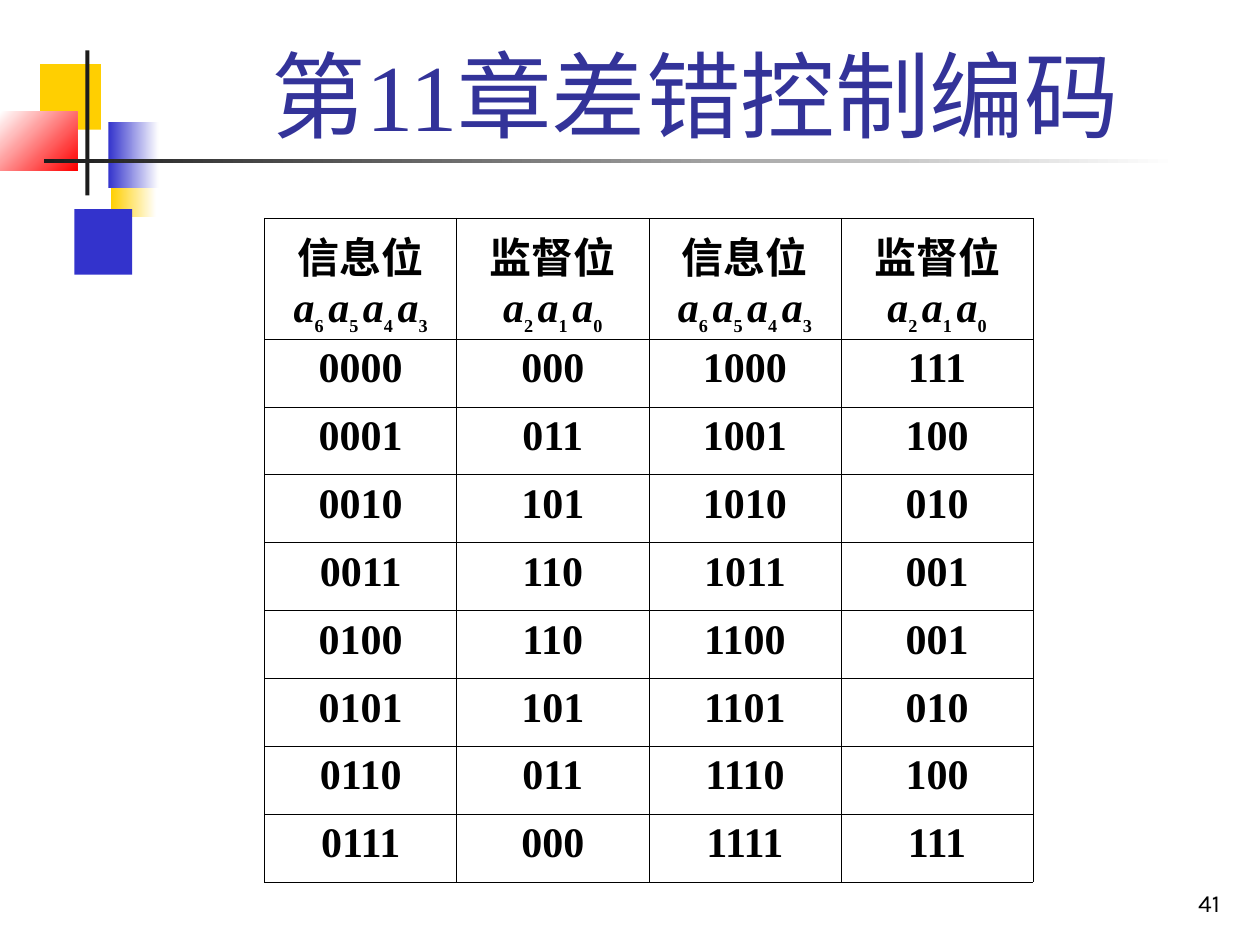
from lxml.etree import SubElement
from pptx import Presentation
from pptx.dml.color import RGBColor
from pptx.enum.shapes import MSO_SHAPE
from pptx.enum.text import MSO_ANCHOR, MSO_AUTO_SIZE, PP_ALIGN
from pptx.oxml.ns import qn
from pptx.util import Pt

# Content
TITLE = "第11章差错控制编码"
PAGE_NUMBER = "41"
HEADERS = [("信息位", "6543"), ("监督位", "210")] * 2  # label, subscripts of a
CODES = [
    ("0000", "000", "1000", "111"),
    ("0001", "011", "1001", "100"),
    ("0010", "101", "1010", "010"),
    ("0011", "110", "1011", "001"),
    ("0100", "110", "1100", "001"),
    ("0101", "101", "1101", "010"),
    ("0110", "011", "1110", "100"),
    ("0111", "000", "1111", "111"),
]
COLORS = {
    "title": "333399", "text": "000000", "white": "FFFFFF", "yellow": "FFCF01",
    "blue": "3333CC", "red": "FF0000", "dark": "1C1C1C",
}
# Left, top, width, height, colours from start to end, clockwise angle
DECORATIONS = [
    (63.4, 86.4, 25.9, 37.4, ("yellow", "white"), 0),
    (42.5, 119.5, 33.1, 37.4, ("blue",), 0),
    (23, 36.7, 34.6, 37.4, ("yellow",), 0),
    (61.9, 70, 28.8, 37.4, ("blue", "white"), 0),
    (0, 64, 44.3, 33.5, ("white", "red"), 45),
    (48.8, 28.8, 2.3, 82.8, ("dark",), 0),
    (25.2, 90.8, 648, 2.3, ("dark", "white"), 0),
]
TABLE_LEFT, TABLE_TOP = 151.2, 124.7
COLUMN_WIDTH, HEADER_HEIGHT, ROW_HEIGHT = 109.8, 69.1, 38.8
BORDER_WIDTH = 0.45


def rgb(name):
    return RGBColor.from_string(COLORS[name])


def add_text(paragraph, text, size=24, font="Times New Roman", color="text",
             bold=None, italic=None, baseline=None, align=PP_ALIGN.CENTER):
    paragraph.alignment = align
    run = paragraph.add_run()
    run.text = text
    run.font.size = Pt(size)
    run.font.name = font
    run.font.color.rgb = rgb(color)
    run.font.bold, run.font.italic = bold, italic
    if baseline is not None:
        run.font._element.set("baseline", str(baseline * 1000))


def add_decoration(slide, left, top, width, height, colors, angle):
    shape = slide.shapes.add_shape(
        MSO_SHAPE.RECTANGLE, Pt(left), Pt(top), Pt(width), Pt(height))
    shape.shadow.inherit = False
    shape.line.fill.background()
    if len(colors) == 1:
        shape.fill.solid()
        shape.fill.fore_color.rgb = rgb(colors[0])
        return
    shape.fill.gradient()
    shape.fill.gradient_angle = (360 - angle) % 360
    for stop, color in zip(shape.fill.gradient_stops, colors):
        stop.color.rgb = rgb(color)


def format_cell(cell, filled):
    # Borders come before the fill in the cell properties
    properties = cell._tc.get_or_add_tcPr()
    for side in ("a:lnL", "a:lnR", "a:lnT", "a:lnB"):
        line = SubElement(properties, qn(side), w=str(int(Pt(BORDER_WIDTH))))
        solid = SubElement(line, qn("a:solidFill"))
        SubElement(solid, qn("a:srgbClr"), val=COLORS["text"])
    if filled:
        cell.fill.solid()
        cell.fill.fore_color.rgb = rgb("white")
    else:
        cell.fill.background()


def add_header(cell, label, subscripts):
    add_text(cell.text_frame.paragraphs[0], label, bold=True)
    symbols = cell.text_frame.add_paragraph()
    for index, subscript in enumerate(subscripts):
        gap = " " if index < len(subscripts) - 1 else ""
        add_text(symbols, "a", bold=True, italic=True)
        add_text(symbols, subscript + gap, size=18, bold=True, baseline=-30)


def add_code_table(slide):
    rows, columns = len(CODES) + 1, len(HEADERS)
    frame = slide.shapes.add_table(
        rows, columns, Pt(TABLE_LEFT), Pt(TABLE_TOP), Pt(COLUMN_WIDTH * columns),
        Pt(HEADER_HEIGHT + ROW_HEIGHT * len(CODES)))
    table = frame.table
    table.first_row = table.horz_banding = False
    for column in table.columns:
        column.width = Pt(COLUMN_WIDTH)
    for index, row in enumerate(table.rows):
        row.height = Pt(ROW_HEIGHT if index else HEADER_HEIGHT)
        for column_index, cell in enumerate(row.cells):
            format_cell(cell, filled=column_index % 2 == 1)
            if index == 0:
                add_header(cell, *HEADERS[column_index])
            else:
                add_text(cell.text_frame.paragraphs[0],
                         CODES[index - 1][column_index], bold=True)


def main():
    presentation = Presentation()
    presentation.slide_width, presentation.slide_height = Pt(720), Pt(540)
    slide = presentation.slides.add_slide(presentation.slide_layouts[5])

    # Corner decoration
    for decoration in DECORATIONS:
        add_decoration(slide, *decoration)

    # Page number
    number = slide.shapes.add_textbox(Pt(554.4), Pt(491.8), Pt(149.8), Pt(36))
    number.text_frame.word_wrap = True
    number.text_frame.vertical_anchor = MSO_ANCHOR.BOTTOM
    add_text(number.text_frame.paragraphs[0], PAGE_NUMBER, size=14, font="Karla",
             align=PP_ALIGN.RIGHT)

    # Title
    title = slide.shapes.title
    title.left, title.top, title.width, title.height = (
        Pt(90.7), Pt(16.6), Pt(613.4), Pt(72.7))
    title.text_frame.auto_size = MSO_AUTO_SIZE.NONE
    title.text_frame.vertical_anchor = MSO_ANCHOR.BOTTOM
    add_text(title.text_frame.paragraphs[0], TITLE, size=54, color="title")

    # Code table
    add_code_table(slide)
    presentation.save("out.pptx")


if __name__ == "__main__":
    main()
